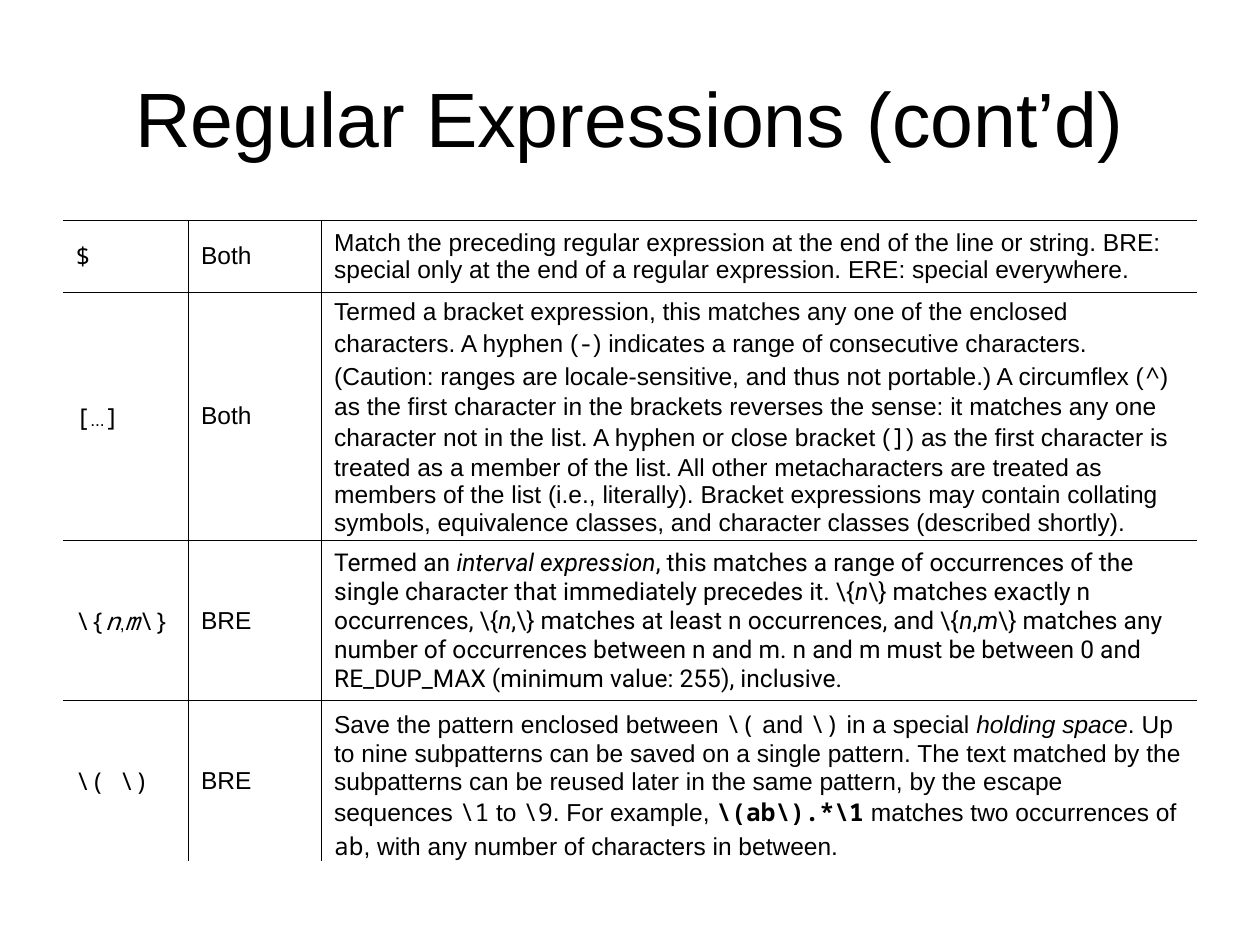
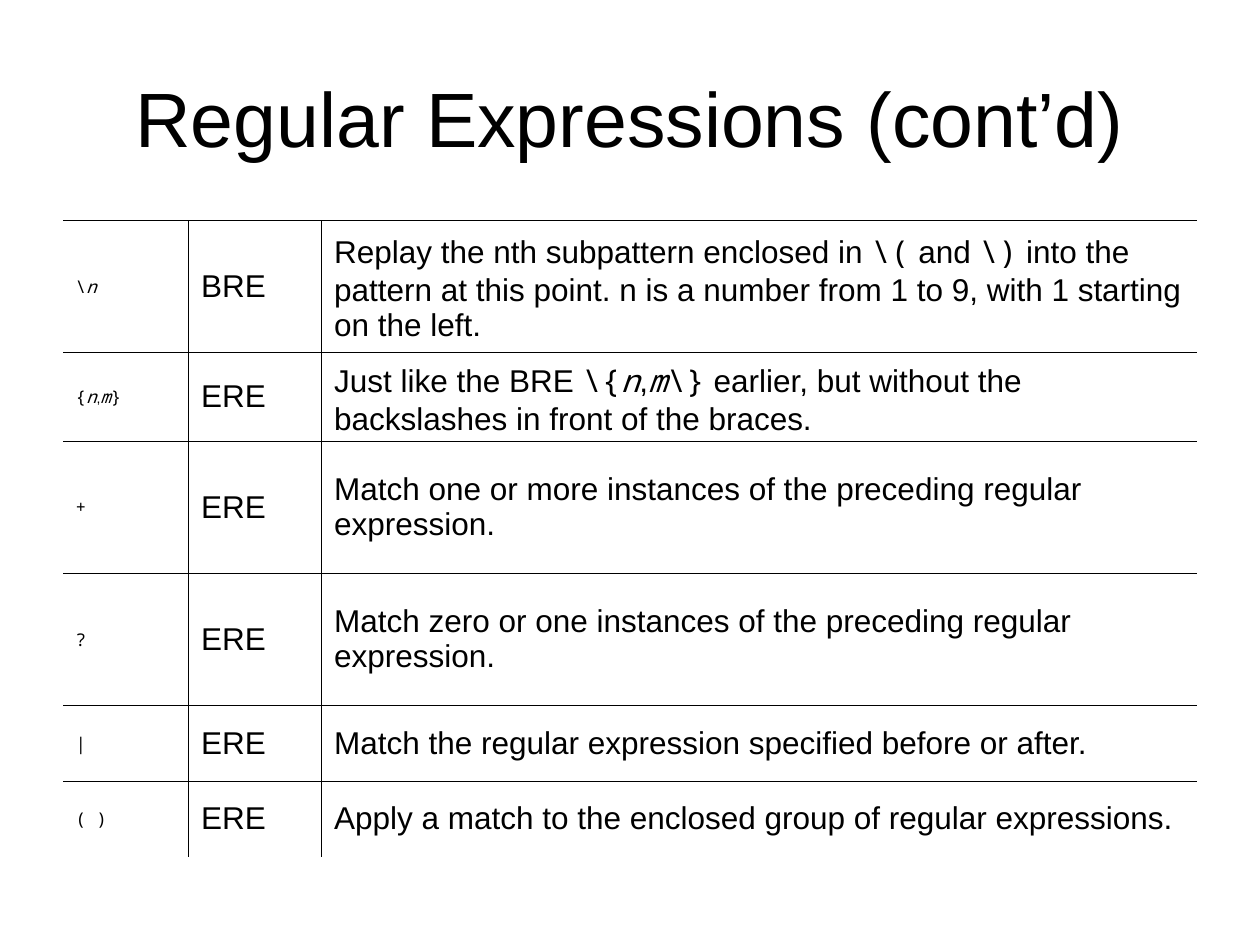
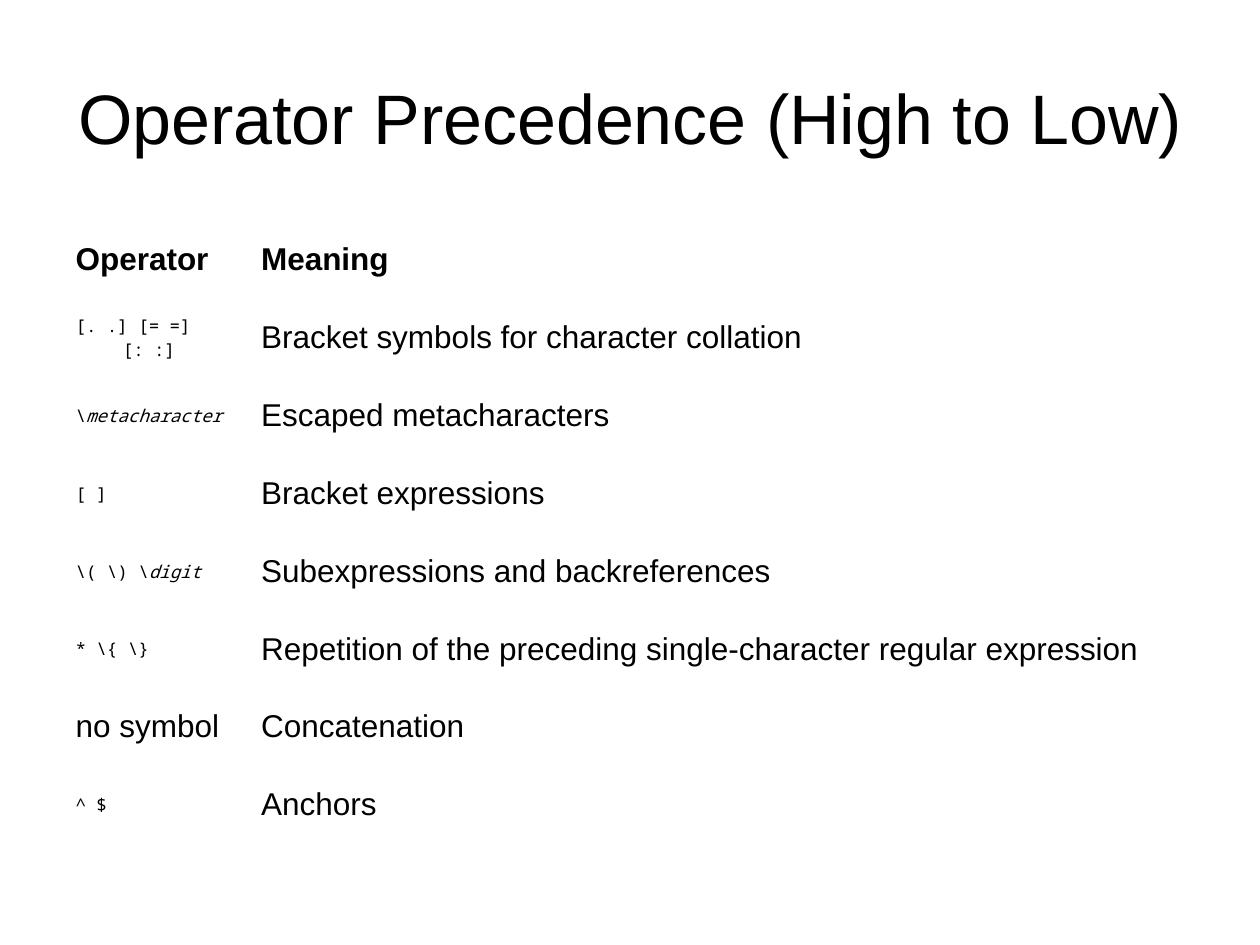
from dataclasses import dataclass
from typing import Optional

import pptx
import pptx.dml.color
import pptx.enum.text
import pptx.oxml.ns
import pptx.util
from lxml import etree

Pt = pptx.util.Pt


@dataclass(frozen=True)
class Theme:
    ink: str = "000000"
    body_font: str = "Arial"
    code_font: str = "Noto Sans Mono"
    alternate_font: str = "Roboto"
    title_size: int = 44
    long_title_size: int = 40
    large_size: int = 18
    body_size: int = 14
    small_size: int = 10
    tiny_size: int = 8
    rule_width: float = 0.45
    margin: float = 36
    content_width: float = 648
    title_top: float = 21.6
    title_height: float = 90
    table_top: float = 126
    hanging_indent: float = 27


THEME = Theme()


@dataclass(frozen=True)
class Span:
    """A stretch of text; a size of None takes the size of its column."""
    text: str
    font: str = THEME.body_font
    size: Optional[float] = None
    italic: bool = False
    bold: bool = False


def code(text, **style):
    return Span(text, THEME.code_font, **style)


def alternate(text, **style):
    return Span(text, THEME.alternate_font, **style)


def interval(opening, closing, comma_size=None):
    """The spans of an interval expression such as {n,m}."""
    return [code(opening), code("n", italic=True), Span(",", size=comma_size),
            code("m", italic=True), code(closing)]


ANCHOR_AND_GROUP_ROWS = [
    (code("$"), "Both",
     "Match the preceding regular expression at the end of the line or string. "
     "BRE: special only at the end of a regular expression. ERE: special everywhere."),
    ([code("["), Span("...", size=THEME.small_size), code("]")], "Both", [
        "Termed a bracket expression, this matches any one of the enclosed characters. "
        "A hyphen (", code("-"),
        ") indicates a range of consecutive characters. (Caution: ranges are "
        "locale-sensitive, and thus not portable.) A circumflex (", code("^"),
        ") as the first character in the brackets reverses the sense: it matches any "
        "one character not in the list. A hyphen or close bracket (", code("]"),
        ") as the first character is treated as a member of the list. All other "
        "metacharacters are treated as members of the list (i.e., literally). Bracket "
        "expressions may contain collating symbols, equivalence classes, and character "
        "classes (described shortly)."]),
    (interval(r"\{", r"\}", THEME.small_size), "BRE", [
        alternate("Termed an "), alternate("interval expression", italic=True),
        alternate(", this matches a range of occurrences of the single character that "
                  r"immediately precedes it. \{"),
        alternate("n", italic=True),
        alternate(r"\} matches exactly n occurrences, \{"),
        alternate("n", italic=True),
        alternate(r",\} matches at least n occurrences, and \{"),
        alternate("n", italic=True), alternate(","), alternate("m", italic=True),
        alternate(r"\} matches any number of occurrences between n and m. n and m must "
                  "be between 0 and RE_DUP_MAX (minimum value: 255), inclusive.")]),
    (code(r"\( \)"), "BRE", [
        "Save the pattern enclosed between ", code(r"\("), " and ", code(r"\)"),
        " in a special ", Span("holding space", italic=True),
        ". Up to nine subpatterns can be saved on a single pattern. The text matched by "
        "the subpatterns can be reused later in the same pattern, by the escape "
        "sequences ", code(r"\1"), " to ", code(r"\9"), ". For example, ",
        code(r"\(ab\).*\1", bold=True), " matches two occurrences of ", code("ab"),
        ", with any number of characters in between."]),
]

REPETITION_ROWS = [
    ([code("\\"), code("n", italic=True)], "BRE", [
        "Replay the nth subpattern enclosed in ", code(r"\("), " and ", code(r"\)"),
        " into the pattern at this point. n is a number from 1 to 9, with 1 starting "
        "on the left."]),
    (interval("{", "}", THEME.tiny_size), "ERE", [
        "Just like the BRE ", *interval(r"\{", r"\}"),
        " earlier, but without the backslashes in front of the braces."]),
    (code("+"), "ERE", "Match one or more instances of the preceding regular expression."),
    (code("?"), "ERE", "Match zero or one instances of the preceding regular expression."),
    (code("|"), "ERE", "Match the regular expression specified before or after."),
    (code("( )"), "ERE", "Apply a match to the enclosed group of regular expressions."),
]

PRECEDENCE_ROWS = [
    (Span("Operator", size=THEME.large_size, bold=True), Span("Meaning", bold=True)),
    (code("[. .] [= =] [: :]"), "Bracket symbols for character collation"),
    ([code("\\"), code("metacharacter", italic=True)], "Escaped metacharacters"),
    (code("[ ]"), "Bracket expressions"),
    ([code(r"\( \) " + "\\"), code("digit", italic=True)],
     "Subexpressions and backreferences"),
    (code(r"* \{ \}"), "Repetition of the preceding single-character regular expression"),
    (Span("no symbol", size=THEME.large_size), "Concatenation"),
    (code("^ $"), "Anchors"),
]


def write_spans(paragraph, content, default_size):
    for item in content if isinstance(content, list) else [content]:
        span = Span(item) if isinstance(item, str) else item
        run = paragraph.add_run()
        run.text = span.text
        font = run.font
        font.name = span.font
        font.size = Pt(span.size or default_size)
        font.bold = span.bold
        font.italic = span.italic
        font.color.rgb = pptx.dml.color.RGBColor.from_string(THEME.ink)


def add_title(slide, text, size=THEME.title_size):
    box = slide.shapes.add_textbox(Pt(THEME.margin), Pt(THEME.title_top),
                                   Pt(THEME.content_width), Pt(THEME.title_height))
    frame = box.text_frame
    frame.word_wrap = True
    frame.vertical_anchor = pptx.enum.text.MSO_ANCHOR.MIDDLE
    paragraph = frame.paragraphs[0]
    paragraph.alignment = pptx.enum.text.PP_ALIGN.CENTER
    write_spans(paragraph, text, size)


def set_borders(cell, ruled_edges):
    """Draw the named edges (L, R, T, B) and clear the others."""
    qualify = pptx.oxml.ns.qn
    properties = cell._tc.get_or_add_tcPr()
    for edge in "LRTB":
        line = etree.SubElement(properties, qualify(f"a:ln{edge}"),
                                w=str(Pt(THEME.rule_width)))
        if edge in ruled_edges:
            fill = etree.SubElement(line, qualify("a:solidFill"))
            etree.SubElement(fill, qualify("a:srgbClr"), val=THEME.ink)
        else:
            etree.SubElement(line, qualify("a:noFill"))


def inner_edges(row, column, row_count, column_count):
    """Every edge is ruled except the outer left, right and bottom."""
    return ("T" + ("L" if column > 0 else "")
            + ("R" if column < column_count - 1 else "")
            + ("B" if row < row_count - 1 else ""))


def add_table(slide, rows, column_widths, row_heights, column_sizes,
              ruled=True, hanging_indent=0):
    row_count, column_count = len(rows), len(column_widths)
    table = slide.shapes.add_table(
        row_count, column_count, Pt(THEME.margin), Pt(THEME.table_top),
        Pt(sum(column_widths)), Pt(sum(row_heights))).table
    table.first_row = False
    table.horz_banding = False
    for column, width in zip(table.columns, column_widths):
        column.width = Pt(width)
    for row, height in zip(table.rows, row_heights):
        row.height = Pt(height)
    for row_index, row_content in enumerate(rows):
        for column_index, content in enumerate(row_content):
            cell = table.cell(row_index, column_index)
            set_borders(cell, inner_edges(row_index, column_index, row_count,
                                          column_count) if ruled else "")
            cell.fill.background()
            cell.vertical_anchor = pptx.enum.text.MSO_ANCHOR.MIDDLE
            paragraph = cell.text_frame.paragraphs[0]
            if hanging_indent:
                properties = paragraph._p.get_or_add_pPr()
                properties.set("marL", str(Pt(hanging_indent)))
                properties.set("indent", str(Pt(-hanging_indent)))
            write_spans(paragraph, content, column_sizes[column_index])


def main():
    presentation = pptx.Presentation()
    presentation.slide_width = Pt(720)
    presentation.slide_height = Pt(540)
    blank_layout = presentation.slide_layouts[6]
    expression_columns = [71.75, 76, 500.25]
    precedence_columns = [106, 542]
    body, large, small = THEME.body_size, THEME.large_size, THEME.small_size

    slide = presentation.slides.add_slide(blank_layout)
    add_title(slide, "Regular Expressions (cont’d)")
    add_table(slide, ANCHOR_AND_GROUP_ROWS, expression_columns,
              [41, 142, 91.5, 91.5], [body, body, body])

    slide = presentation.slides.add_slide(blank_layout)
    add_title(slide, "Regular Expressions (cont’d)")
    add_table(slide, REPETITION_ROWS, expression_columns,
              [75.6, 50.4, 75.6, 75.6, 43.2, 43.2], [small, large, large])

    slide = presentation.slides.add_slide(blank_layout)
    add_title(slide, "Operator Precedence (High to Low)", THEME.long_title_size)
    add_table(slide, PRECEDENCE_ROWS, precedence_columns,
              [44.55] * len(PRECEDENCE_ROWS), [small, large],
              ruled=False, hanging_indent=THEME.hanging_indent)

    presentation.save("out.pptx")


if __name__ == "__main__":
    main()
